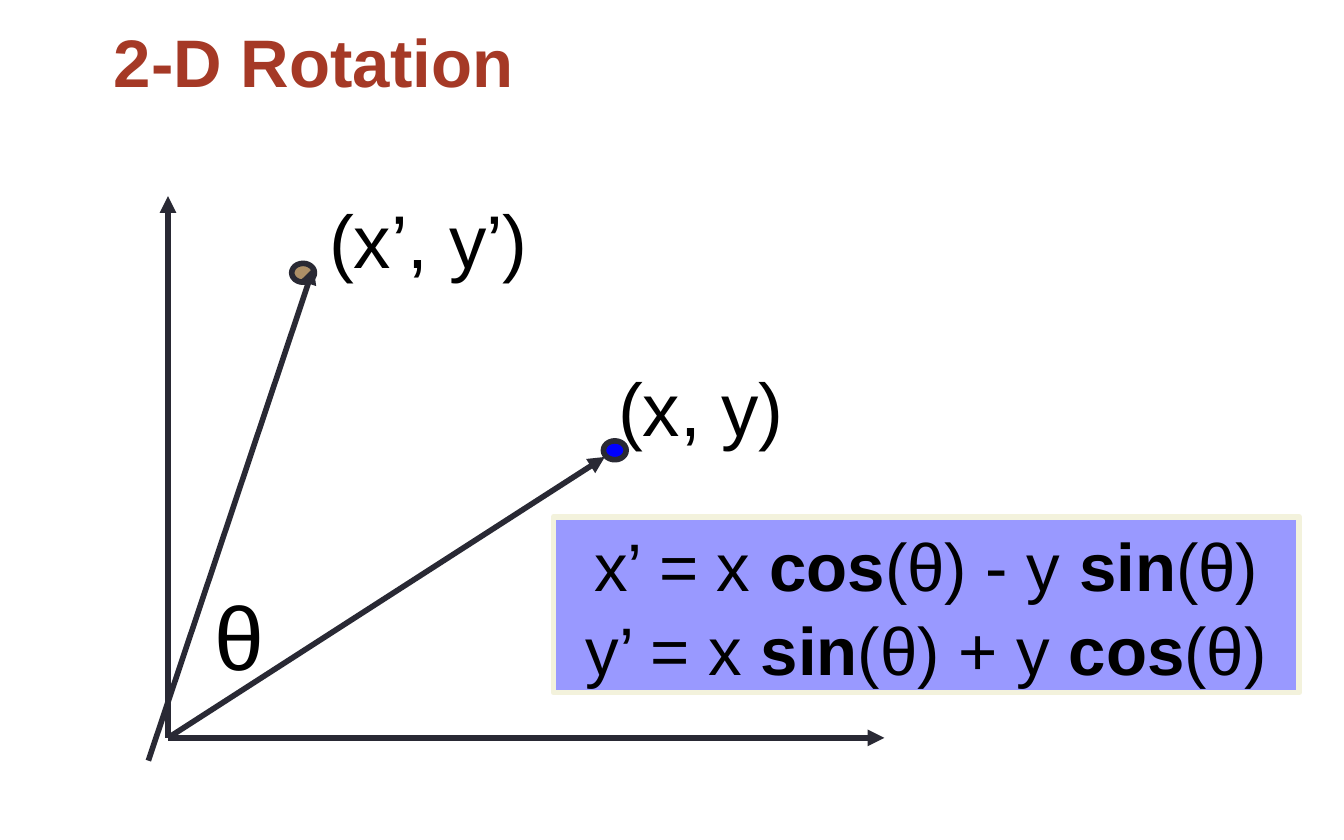
from dataclasses import dataclass
from lxml.etree import SubElement
from pptx import Presentation
from pptx.dml.color import RGBColor
from pptx.enum.shapes import MSO_CONNECTOR as Connector, MSO_SHAPE as Shape
from pptx.enum.text import MSO_ANCHOR as Anchor, PP_ALIGN as Align
from pptx.oxml.ns import qn
from pptx.util import Pt


@dataclass(frozen=True)
class Theme:
    font: str = "Arial"
    title: RGBColor = RGBColor(0xA5, 0x39, 0x26)
    text: RGBColor = RGBColor(0, 0, 0)
    line: RGBColor = RGBColor(0x29, 0x29, 0x34)
    rotated_point: RGBColor = RGBColor(0xAD, 0x8F, 0x67)
    start_point: RGBColor = RGBColor(0, 0, 0xFF)
    panel: RGBColor = RGBColor(0x99, 0x99, 0xFF)
    panel_edge: RGBColor = RGBColor(0xF3, 0xF2, 0xDC)
    line_width: int = 3
    body_size: int = 36
    point_size: int = 40
    angle_size: int = 48


theme = Theme()
deck = Presentation()
deck.slide_width, deck.slide_height = Pt(720), Pt(450)
page = deck.slides.add_slide(deck.slide_layouts[6])


def style(font, size, color=theme.text, bold=False):
    font.name, font.size, font.bold = theme.font, Pt(size), bold
    font.color.rgb = color


def add_filled(kind, left, top, width, height, fill, edge):
    shape = page.shapes.add_shape(kind, Pt(left), Pt(top), Pt(width), Pt(height))
    shape.shadow.inherit = False
    shape.fill.solid()
    shape.fill.fore_color.rgb = fill
    shape.line.color.rgb = edge
    shape.line.width = Pt(theme.line_width)
    return shape


# Points before and after the rotation
for left, top, fill in [(156.3, 141.1, theme.rotated_point),
                        (323.3, 236.2, theme.start_point)]:
    add_filled(Shape.OVAL, left, top, 12.2, 10.1, fill, theme.line)

# Axes and the two vectors
origin = (90, 395.3)
for start, end in [(origin, (90, 105.1)),
                   (origin, (473.8, 395.3)),
                   (origin, (324, 244.8)),
                   ((79.5, 407.5), (168, 143.3))]:
    arrow = page.shapes.add_connector(Connector.STRAIGHT, *map(Pt, start + end))
    arrow.line.color.rgb = theme.line
    arrow.line.width = Pt(theme.line_width)
    SubElement(arrow.line._get_or_add_ln(), qn("a:tailEnd"), type="triangle")
    SubElement(arrow._element.spPr, qn("a:effectLst"))

# Title and labels
for text, left, top, width, height, size, color, bold, wrap, align in [
    ("2-D Rotation", 54, 5, 612, 54.7, theme.body_size, theme.title, True, True, Align.LEFT),
    ("θ", 108, 307.4, 39.6, 65.5, theme.angle_size, theme.text, False, False, Align.CENTER),
    ("(x, y)", 324, 190.1, 104.4, 55.4, theme.point_size, theme.text, False, False, Align.LEFT),
    ("(x’, y’)", 169.2, 100.1, 122.4, 55.4, theme.point_size, theme.text, False, False, Align.LEFT),
]:
    box = page.shapes.add_textbox(Pt(left), Pt(top), Pt(width), Pt(height))
    frame = box.text_frame
    frame.word_wrap, frame.vertical_anchor = wrap, Anchor.MIDDLE
    frame.text = text
    para = frame.paragraphs[0]
    para.alignment = align
    style(para.runs[0].font, size, color, bold)

# Rotation equations, with the function names in bold
panel = add_filled(Shape.RECTANGLE, 296.6, 276.8, 399.4, 94.3, theme.panel, theme.panel_edge)
frame = panel.text_frame
frame.word_wrap, frame.vertical_anchor = True, Anchor.MIDDLE
equations = [("x’ = x ", "cos", "(θ) - y ", "sin", "(θ)"),
             ("y’ = x ", "sin", "(θ) + y ", "cos", "(θ)")]
for index, parts in enumerate(equations):
    para = frame.add_paragraph() if index else frame.paragraphs[0]
    para.alignment, para.line_spacing = Align.CENTER, 1.05
    for part in parts:
        span = para.add_run()
        span.text = part
        style(span.font, theme.body_size, bold=part in ("cos", "sin"))

deck.save("out.pptx")
